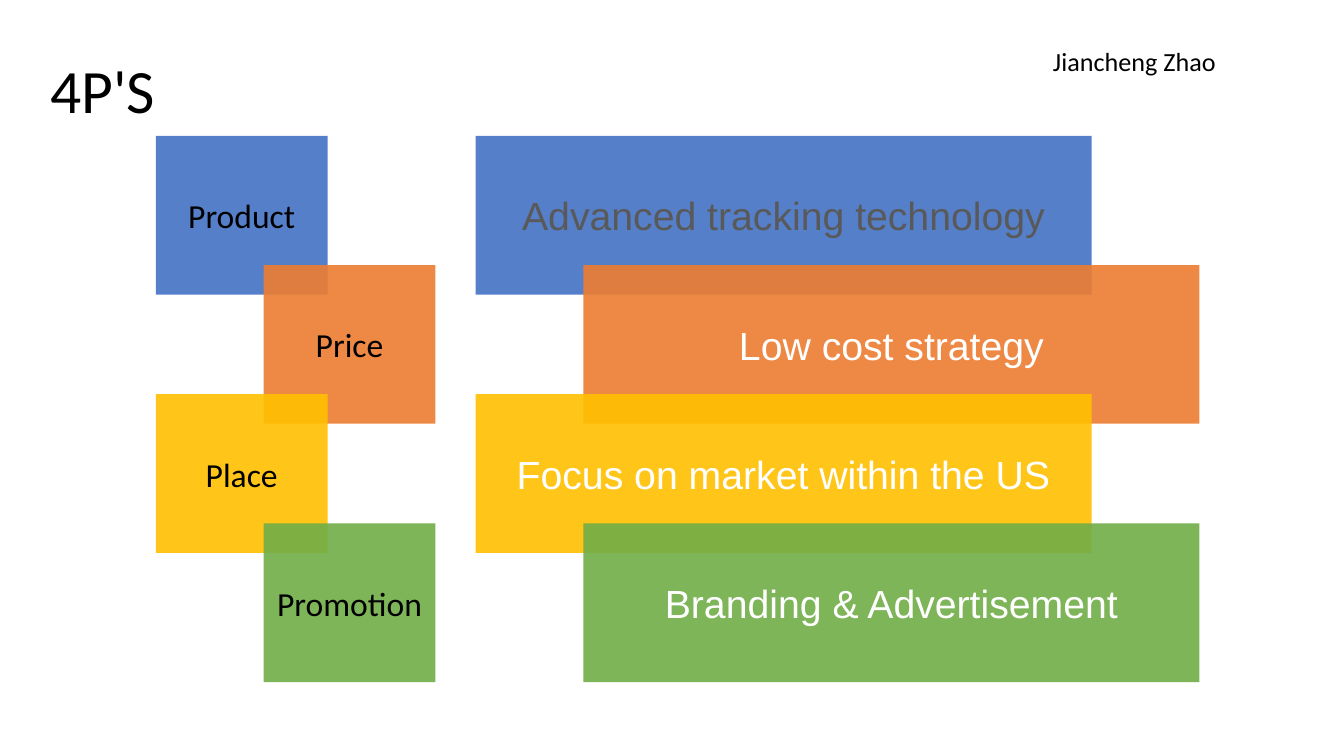
from lxml import etree
from pptx import Presentation
from pptx.dml.color import RGBColor
from pptx.enum.shapes import MSO_SHAPE as Shape
from pptx.enum.text import MSO_ANCHOR as Anchor, MSO_AUTO_SIZE as AutoSize, PP_ALIGN as Align
from pptx.oxml.ns import qn
from pptx.util import Pt

BLACK, WHITE, GRAY = "000000", "FFFFFF", "595959"


def color(hex_string):
    return RGBColor.from_string(hex_string)


class SlideBuilder:
    label = {"name": "Calibri", "size": Pt(18)}
    strategy = {"name": "Arial", "size": Pt(21)}
    heading = {"name": "Calibri", "size": Pt(33)}
    author = {"name": "Calibri", "size": Pt(14)}
    padding = (5.4, 2.7)

    def __init__(self, slide):
        self.slide = slide

    def set_text(self, shape, text, font_values, text_color, align=Align.LEFT,
                 anchor=Anchor.MIDDLE, padding=padding):
        frame = shape.text_frame
        horizontal, vertical = map(Pt, padding)
        frame_values = {
            "word_wrap": True, "auto_size": AutoSize.NONE, "vertical_anchor": anchor,
            "margin_left": horizontal, "margin_right": horizontal,
            "margin_top": vertical, "margin_bottom": vertical,
        }
        for name, value in frame_values.items():
            setattr(frame, name, value)
        paragraph = frame.paragraphs[0]
        paragraph.alignment = align
        run = paragraph.add_run()
        run.text = text
        for name, value in font_values.items():
            setattr(run.font, name, value)
        run.font.color.rgb = color(text_color)
        return paragraph

    def title(self, text, left, top, width, height):
        shape = self.slide.shapes.title
        box = {"left": left, "top": top, "width": width, "height": height}
        for name, value in box.items():
            setattr(shape, name, Pt(value))
        self.set_text(shape, text, self.heading, BLACK).line_spacing = 0.9

    def text(self, text, left, top, width, height):
        shape = self.slide.shapes.add_textbox(*map(Pt, (left, top, width, height)))
        self.set_text(shape, text, self.author, BLACK, anchor=Anchor.TOP)

    def block(self, text, box, fill, font_values, text_color, padding=padding):
        shape = self.slide.shapes.add_shape(Shape.RECTANGLE, *map(Pt, box))
        shape.shadow.inherit = False
        shape.line.fill.background()
        shape.fill.solid()
        shape.fill.fore_color.rgb = color(fill)
        # 90 % opacity lets the overlaps show
        fill_color = next(shape.element.spPr.iter(qn("a:srgbClr")))
        etree.SubElement(fill_color, qn("a:alpha")).set("val", "90000")
        self.set_text(shape, text, font_values, text_color, Align.CENTER, padding=padding)


def main():
    presentation = Presentation()
    presentation.slide_width, presentation.slide_height = Pt(720), Pt(405)
    title_only = presentation.slide_layouts[5]
    builder = SlideBuilder(presentation.slides.add_slide(title_only))

    # Heading
    builder.title("4P'S", 21.6, 10.8, 620.6, 78.5)

    # Four overlapping rows, every second one shifted right
    rows = [
        ("Product", "Advanced tracking technology", "4472C4", GRAY),
        ("Price", "Low cost strategy", "ED7D31", WHITE),
        ("Place", "Focus on market within the US", "FFC000", WHITE),
        ("Promotion", "Branding & Advertisement", "70AD47", WHITE),
    ]
    left, top, row_step, shift = 83.5, 72.8, 69.2, 57.8
    label_width, strategy_width, height, strategy_offset = 92, 330, 85, 171.3
    for index, (label, strategy, fill, strategy_color) in enumerate(rows):
        x = left + index % 2 * shift
        y = top + index * row_step
        builder.block(label, (x, y, label_width, height), fill, builder.label, BLACK)
        builder.block(strategy, (x + strategy_offset, y, strategy_width, height), fill,
                      builder.strategy, strategy_color, padding=(0, 0))

    # Author
    builder.text("Jiancheng Zhao", 558.7, 21.6, 141.1, 21.6)

    presentation.save("out.pptx")


if __name__ == "__main__":
    main()
